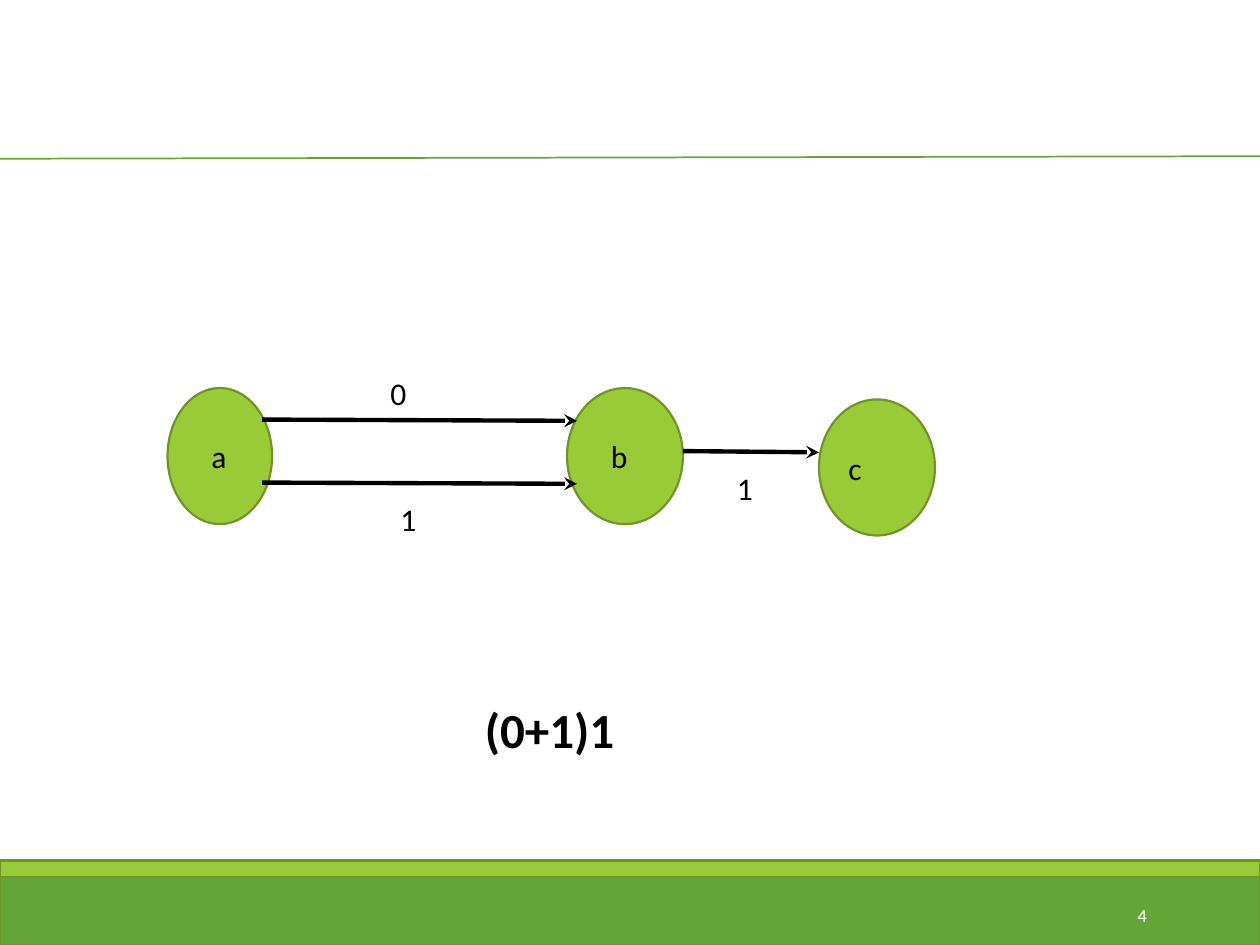
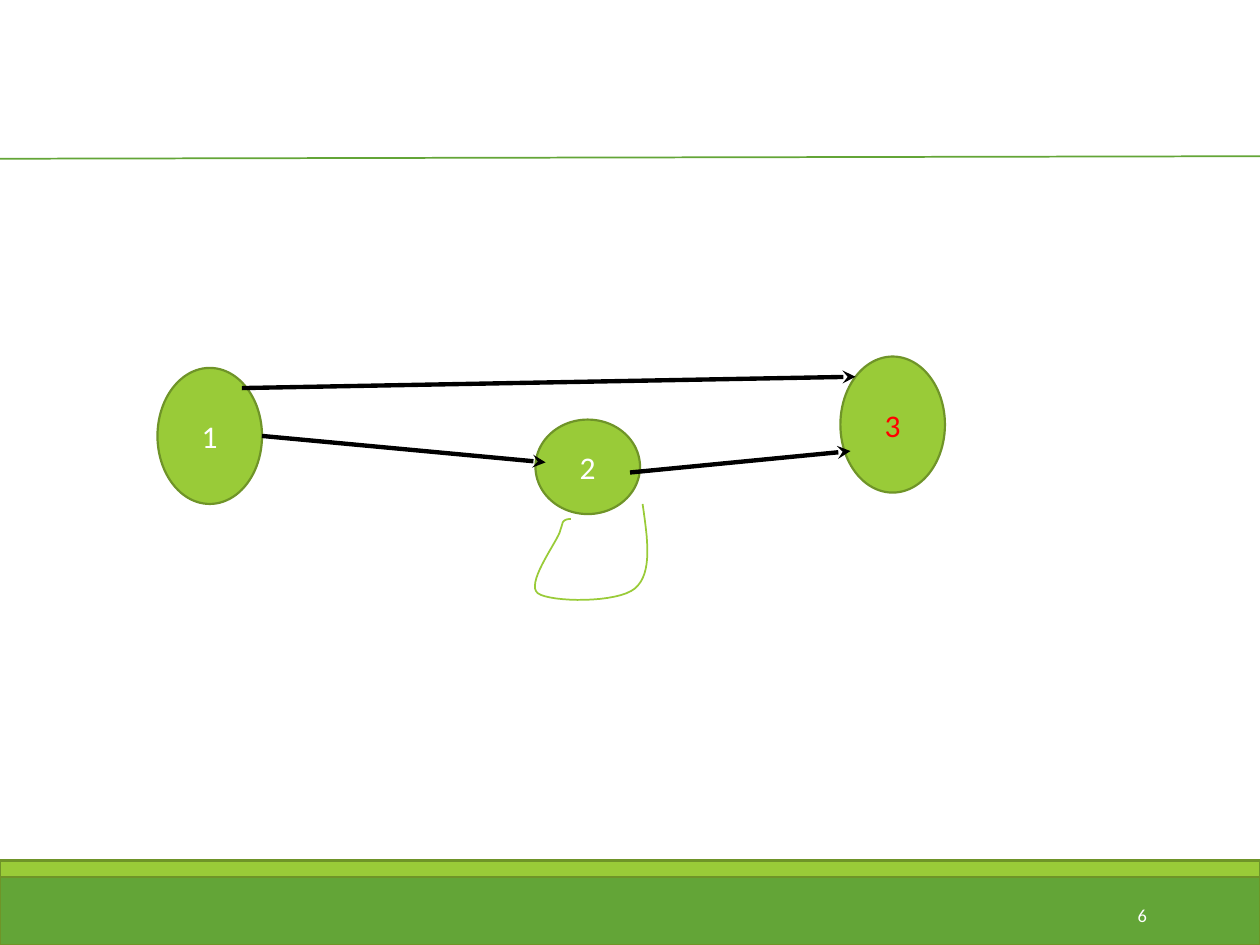
from dataclasses import dataclass

from lxml import etree
from pptx import Presentation
from pptx.dml.color import RGBColor
from pptx.enum.shapes import MSO_CONNECTOR, MSO_SHAPE
from pptx.enum.text import MSO_ANCHOR, MSO_AUTO_SIZE, PP_ALIGN
from pptx.oxml.ns import qn
from pptx.util import Emu, Pt

RECTANGLE, OVAL = MSO_SHAPE.RECTANGLE, MSO_SHAPE.OVAL
STRAIGHT = MSO_CONNECTOR.STRAIGHT
LEFT, CENTER, RIGHT = PP_ALIGN.LEFT, PP_ALIGN.CENTER, PP_ALIGN.RIGHT
TOP, MIDDLE = MSO_ANCHOR.TOP, MSO_ANCHOR.MIDDLE
FIT_SHAPE = MSO_AUTO_SIZE.SHAPE_TO_FIT_TEXT

PX = 9144  # 100 px to the inch
CURVE_STEPS = 16


@dataclass(frozen=True)
class Theme:
    font: str = "Calibri"
    dark_green: str = "63A537"
    light_green: str = "99CB38"
    outline: str = "6F9428"
    black: str = "000000"
    white: str = "FFFFFF"
    red: str = "FF0000"
    number_size: float = 10.5
    label_size: float = 18
    formula_size: float = 28
    thin: float = 1
    edge: float = 1.25
    arrow: float = 2.5


THEME = Theme()


@dataclass(frozen=True)
class Box:
    left: int
    top: int
    width: int
    height: int

    def inner(self, left, top, width, height):
        return Box(self.left + left, self.top + top, width, height)

    def point(self, x, y):
        return self.left + x, self.top + y

    def emu(self):
        return [px(n) for n in (self.left, self.top, self.width, self.height)]


def px(length):
    return Emu(round(length * PX))


# Shared drawing helpers
def style_line(line, color, width):
    line.color.rgb = RGBColor.from_string(color)
    line.width = Pt(width)


def write(shape, text, color, size=THEME.label_size, bold=False,
          align=LEFT, frame_format=None):
    frame = shape.text_frame
    for name, value in (frame_format or {}).items():
        setattr(frame, name, value)
    paragraph = frame.paragraphs[0]
    paragraph.alignment = align
    run = paragraph.add_run()
    run.text = text
    run_format = {"name": THEME.font, "size": Pt(size), "bold": bold}
    for name, value in run_format.items():
        setattr(run.font, name, value)
    run.font.color.rgb = RGBColor.from_string(color)


def add_filled(slide, kind, box, fill):
    shape = slide.shapes.add_shape(kind, *box.emu())
    shape.shadow.inherit = False
    shape.fill.solid()
    shape.fill.fore_color.rgb = RGBColor.from_string(fill)
    style_line(shape.line, THEME.outline, THEME.edge)
    return shape


def add_node(slide, box, text="", color=THEME.white, align=CENTER):
    node = add_filled(slide, OVAL, box, THEME.light_green)
    if text:
        write(node, text, color, align=align,
              frame_format={"vertical_anchor": MIDDLE})


def add_label(slide, box, text, size=THEME.label_size, bold=False):
    label = slide.shapes.add_textbox(*box.emu())
    write(label, text, THEME.black, size, bold, frame_format={
        "word_wrap": False, "auto_size": FIT_SHAPE, "vertical_anchor": TOP})


def add_line(slide, start, end, color, width):
    line = slide.shapes.add_connector(
        STRAIGHT, *[px(n) for n in (*start, *end)])
    style_line(line.line, color, width)
    etree.SubElement(line._element.spPr, qn("a:effectLst"))
    return line


def add_arrow(slide, start, end):
    arrow = add_line(slide, start, end, THEME.black, THEME.arrow)
    outline = arrow._element.spPr.find(qn("a:ln"))
    etree.SubElement(outline, qn("a:tailEnd"), type="stealth")


def curve_points(start, curves):
    """Sample joined cubic curves, each given as two controls and an end."""
    for first, second, end in curves:
        for step in range(1, CURVE_STEPS + 1):
            t = step / CURVE_STEPS
            u = 1 - t
            weights = (u ** 3, 3 * u * u * t, 3 * u * t * t, t ** 3)
            anchors = (start, first, second, end)
            yield tuple(sum(w * anchor[axis] for w, anchor
                            in zip(weights, anchors)) for axis in (0, 1))
        start = end


# Header rule, footer bands and slide number
def add_frame(slide, box, number):
    add_filled(slide, RECTANGLE, box.inner(0, 692, box.width, 58),
               THEME.dark_green)
    add_filled(slide, RECTANGLE, box.inner(0, 683, box.width, 13),
               THEME.light_green)
    add_line(slide, box.point(-3, 126), box.point(box.width, 124),
             THEME.dark_green, THEME.thin)
    number_box = slide.shapes.add_textbox(*box.inner(812, 706, 108, 40).emu())
    write(number_box, str(number), THEME.white, THEME.number_size,
          align=RIGHT,
          frame_format={"word_wrap": True, "vertical_anchor": MIDDLE})


# Chain of states a, b, c with labelled transitions
def add_chain(slide, box):
    add_node(slide, box.inner(0, 16, 83, 108))
    add_node(slide, box.inner(317, 16, 92, 108))
    add_node(slide, box.inner(517, 25, 92, 108), "c", THEME.black, LEFT)
    for left, right, y in ((75, 325, 41), (75, 325, 91), (409, 517, 66)):
        add_arrow(slide, box.point(left, y), box.point(right, y + 1))
    labels = (("0", 167, 0), ("1", 175, 100), ("a", 25, 50),
              ("b", 342, 50), ("1", 442, 75))
    for text, left, top in labels:
        add_label(slide, box.inner(left, top, 33, 40), text)


# States 1, 2, 3 with a loop below state 2
def add_loop_graph(slide, box):
    add_node(slide, box.inner(0, 9, 83, 108), "1")
    add_node(slide, box.inner(542, 0, 83, 108), "3", THEME.red)
    add_node(slide, box.inner(300, 50, 83, 75), "2")
    arrows = (((67, 25), (554, 16)), ((83, 63), (308, 84)),
              ((375, 92), (550, 75)))
    for start, end in arrows:
        add_arrow(slide, box.point(*start), box.point(*end))
    add_loop(slide, box.inner(289, 117, 103, 74))


def add_loop(slide, box):
    start = (96, 0)
    curves = (((100, 28), (104, 55), (90, 67)),
              ((76, 79), (23, 78), (13, 71)),
              ((3, 64), (26, 33), (30, 23)),
              ((33, 14), (32, 16), (33, 14)),
              ((35, 12), (37, 12), (39, 12)))
    points = [tuple(px(n) for n in box.point(*point))
              for point in (start, *curve_points(start, curves))]
    builder = slide.shapes.build_freeform(*points[0], scale=1.0)
    builder.add_line_segments(points[1:], close=False)
    loop = builder.convert_to_shape()
    loop.shadow.inherit = False
    loop.fill.background()
    style_line(loop.line, THEME.light_green, THEME.thin)


# Slides
def add_chain_slide(slide, box):
    add_frame(slide, box, 4)
    add_chain(slide, box.inner(133, 292, 609, 140))
    add_label(slide, box.inner(375, 550, 124, 57), "(0+1)1",
              THEME.formula_size, True)


def add_loop_slide(slide, box):
    add_frame(slide, box, 6)
    add_loop_graph(slide, box.inner(125, 283, 625, 200))


def main():
    presentation = Presentation()
    page = Box(0, 0, 1000, 750)
    presentation.slide_width = px(page.width)
    presentation.slide_height = px(page.height)
    blank = presentation.slide_layouts[6]
    for build in (add_chain_slide, add_loop_slide):
        build(presentation.slides.add_slide(blank), page)
    presentation.save("out.pptx")


if __name__ == "__main__":
    main()
